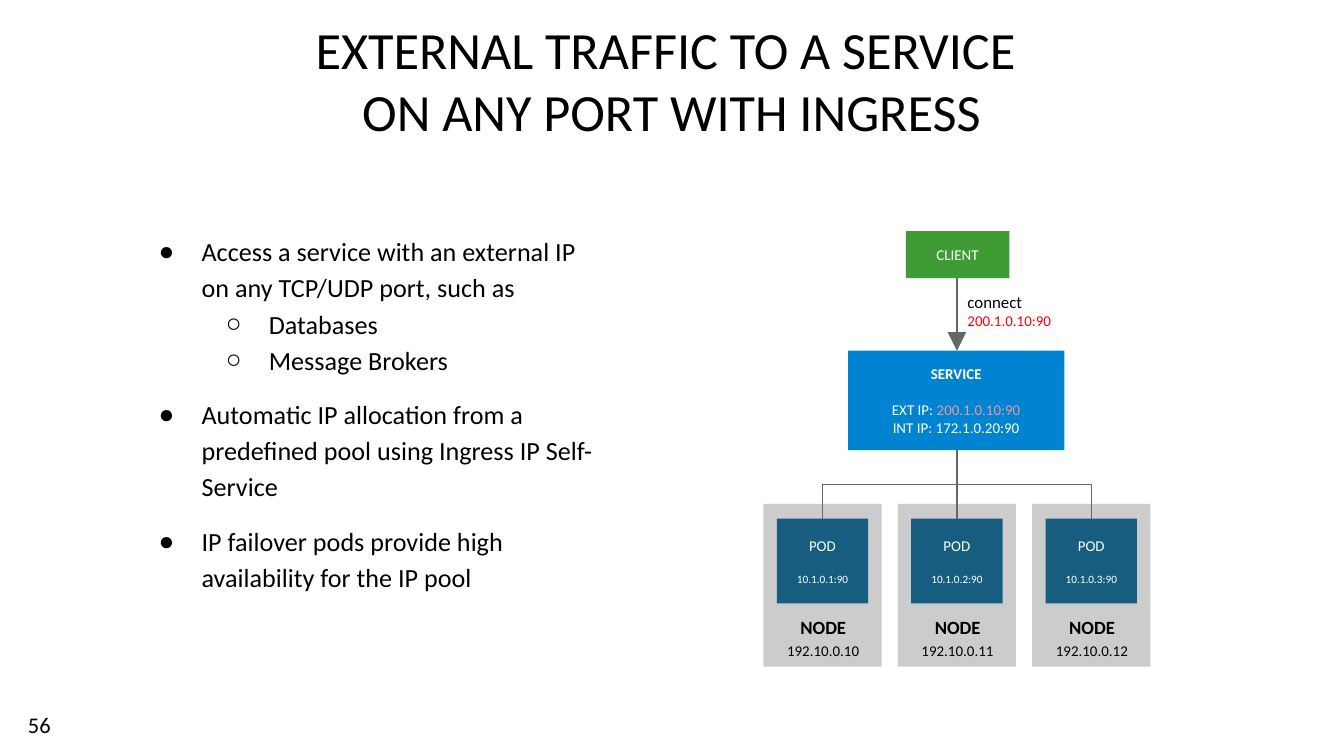
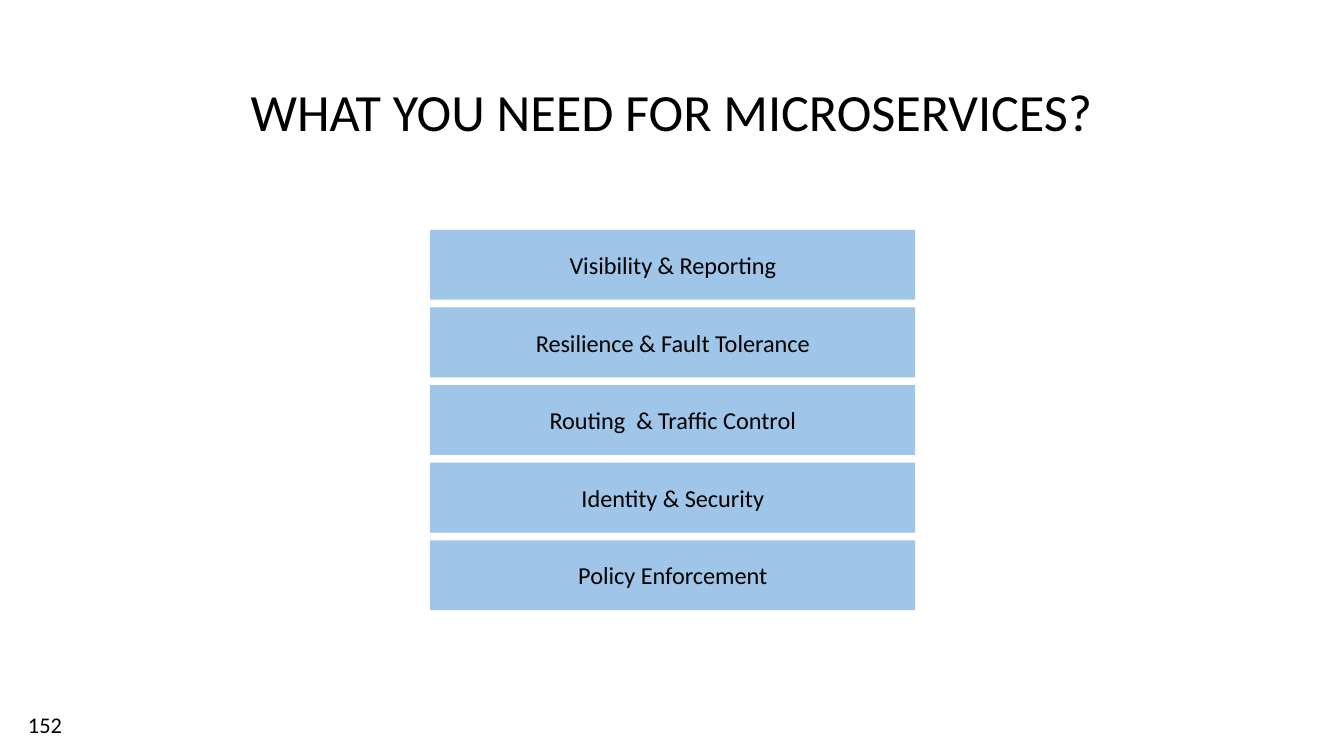
import lxml.etree
import pptx
import pptx.dml.color
import pptx.enum.shapes
import pptx.enum.text
import pptx.oxml.ns
import pptx.util

Inches = pptx.util.Inches
Pt = pptx.util.Pt
qn = pptx.oxml.ns.qn
ALIGN = pptx.enum.text.PP_ALIGN
ANCHOR = pptx.enum.text.MSO_ANCHOR

COLORS = {
    "text": "000000",
    "light": "FFFFFF",
    "client": "3F9C35",
    "service": "0084D1",
    "pod": "165D80",
    "node": "CCCCCC",
    "line": "666666",
    "address": "FF0000",
    "pale address": "EA9999",
    "need": "9FC5E8",
}
CENTERED = {"alignment": ALIGN.CENTER}
LEFT = {"alignment": ALIGN.LEFT}
LINE_BREAK = ("\n", {})


def rgb(name):
    return pptx.dml.color.RGBColor.from_string(COLORS[name])


def write_text(shapes, area, paragraphs, size, color="text", anchor=ANCHOR.MIDDLE,
               fill=None, holder=None):
    """Write (paragraph format, [(text, font changes)]) pairs into a placeholder or a new box."""
    left, top, width, height = map(Inches, area)
    if holder is not None:
        box = holder
        box.left, box.top, box.width, box.height = left, top, width, height
    elif fill:
        box = shapes.add_shape(pptx.enum.shapes.MSO_SHAPE.RECTANGLE, left, top, width, height)
        box.shadow.inherit = False
        box.fill.solid()
        box.fill.fore_color.rgb = rgb(fill)
        box.line.fill.background()
    else:
        box = shapes.add_textbox(left, top, width, height)

    frame = box.text_frame
    frame_format = {
        "word_wrap": True,
        "auto_size": pptx.enum.text.MSO_AUTO_SIZE.NONE,
        "vertical_anchor": anchor,
        **{f"margin_{side}": Inches(0.1) for side in ("left", "top", "right", "bottom")},
    }
    for name, value in frame_format.items():
        setattr(frame, name, value)

    for index, (paragraph_format, runs) in enumerate(paragraphs):
        paragraph = frame.add_paragraph() if index else frame.paragraphs[0]
        for name, value in paragraph_format.items():
            setattr(paragraph, name, value)
        for text, changes in runs:
            if text == "\n":
                paragraph.add_line_break()
                lxml.etree.SubElement(paragraph._p[-1], qn("a:rPr"), sz=str(size * 100))
                continue
            run = paragraph.add_run()
            run.text = text
            font_format = {"name": "Calibri", "size": Pt(size), "color": color, **changes}
            run.font.color.rgb = rgb(font_format.pop("color"))
            for name, value in font_format.items():
                setattr(run.font, name, value)
    return box


deck = pptx.Presentation()
deck.slide_width = Inches(10)
deck.slide_height = deck.slide_width * 9 // 16

# Titles and page numbers
slides = []
for layout, title, page in (
    (1, [("EXTERNAL TRAFFIC TO A SERVICE ", {}), LINE_BREAK, ("ON ANY PORT WITH INGRESS", {})],
     "56"),
    (5, [("WHAT YOU NEED FOR MICROSERVICES?", {})], "152"),
):
    slide = deck.slides.add_slide(deck.slide_layouts[layout])
    write_text(slide.shapes, (0.9, 0, 8.19, 1.16), [(CENTERED, title)],
               28, anchor=ANCHOR.BOTTOM, holder=slide.shapes.title)
    write_text(slide.shapes, (0.11, 5.18, 0.46, 0.43), [(LEFT, [(page, {})])], 12)
    slides.append(slide)
ingress, microservices = slides

# Ingress: list of benefits
benefits = (
    (0, 0, "Access a service with an external IP on any TCP/UDP port, such as"),
    (1, 0, "Databases"),
    (1, 0, "Message Brokers"),
    (0, 10, "Automatic IP allocation from a predefined pool using Ingress IP Self-Service"),
    (0, 10, "IP failover pods provide high availability for the IP pool"),
)
benefit_list = write_text(
    ingress.shapes, (0.9, 1.62, 3.69, 3.25),
    [({**LEFT, "level": level, "line_spacing": 1.15, "space_before": Pt(gap)}, [(text, {})])
     for level, gap, text in benefits],
    14, anchor=ANCHOR.TOP, holder=ingress.placeholders[1])
for paragraph in benefit_list.text_frame.paragraphs:
    properties = paragraph._p.get_or_add_pPr()
    properties.set("marL", str(Inches(0.5 * (paragraph.level + 1))))
    properties.set("indent", str(Inches(-0.32)))
    bullet_color = lxml.etree.SubElement(properties, qn("a:buClr"))
    lxml.etree.SubElement(bullet_color, qn("a:srgbClr"), val=COLORS["text"])
    lxml.etree.SubElement(properties, qn("a:buChar"), char="●○"[paragraph.level])

# Ingress: client and service
axis = 7.12
write_text(ingress.shapes, (6.74, 1.72, 0.77, 0.35), [(CENTERED, [("CLIENT", {})])],
           8, "light", fill="client")
write_text(ingress.shapes, (7.1, 2.07, 1.21, 0.46), [
    (LEFT, [("connect", {"size": Pt(9)}), (" ", {}), LINE_BREAK,
            ("200.1.0.10:90", {"color": "address"})]),
], 8, anchor=ANCHOR.TOP)
write_text(ingress.shapes, (6.31, 2.61, 1.61, 0.74), [
    (CENTERED, [("SERVICE", {"bold": True})]),
    ({**CENTERED, "space_before": Pt(9.5)},
     [("EXT IP: ", {}), ("200.1.0.10:90", {"color": "pale address"})]),
    (CENTERED, [("INT IP: 172.1.0.20:90", {})]),
], 8, "light", fill="service")

# Ingress: nodes with their pods
links = [((axis, 2.07), (axis, 2.61), True)]
for number in range(3):
    left = 5.68 + number
    node = ingress.shapes.add_group_shape()
    write_text(node.shapes, (left, 3.75, 0.88, 1.21), [], 8, fill="node")
    write_text(node.shapes, (left + 0.02, 4.46, 0.85, 0.46), [
        ({**CENTERED, "line_spacing": 1.15},
         [("NODE", {"size": Pt(10), "bold": True}), LINE_BREAK,
          (f"192.10.0.{10 + number}", {})]),
    ], 8, anchor=ANCHOR.TOP)
    write_text(ingress.shapes, (left + 0.1, 3.86, 0.68, 0.63), [
        (CENTERED, [("POD", {})]),
        ({**CENTERED, "space_before": Pt(9.5)},
         [(f"10.1.0.{number + 1}:90", {"size": Pt(6)})]),
    ], 8, "light", fill="pod")
    links.append(((axis, 3.35), (axis - 1 + number, 3.86), False))

# Elbows leave downwards, so each is laid out sideways and turned a quarter
for (x1, y1), (x2, y2), has_arrow in links:
    middle_x, middle_y = (x1 + x2) / 2, (y1 + y2) / 2
    half_width, half_height = (x2 - x1) / 2, (y2 - y1) / 2
    link = ingress.shapes.add_connector(
        pptx.enum.shapes.MSO_CONNECTOR.ELBOW,
        Inches(middle_x - half_height), Inches(middle_y + half_width),
        Inches(middle_x + half_height), Inches(middle_y - half_width))
    link.line.color.rgb = rgb("line")
    link.line.width = Pt(0.75)
    properties = link.element.spPr
    properties.find(qn("a:xfrm")).set("rot", str(90 * 60000))
    if has_arrow:
        lxml.etree.SubElement(link.get_or_add_ln(), qn("a:tailEnd"),
                              type="triangle", w="lg", len="lg")
    lxml.etree.SubElement(properties, qn("a:effectLst"))

# Microservices: stack of needs
needs = ("Visibility & Reporting", "Resilience & Fault Tolerance",
         "Routing  & Traffic Control", "Identity & Security", "Policy Enforcement")
first_top, last_top = 1.71, 4.02
step = (last_top - first_top) / (len(needs) - 1)
for row, need in enumerate(needs):
    write_text(microservices.shapes, (3.2, first_top + row * step, 3.61, 0.52),
               [(CENTERED, [(need, {})])], 13, fill="need")

deck.save("out.pptx")
